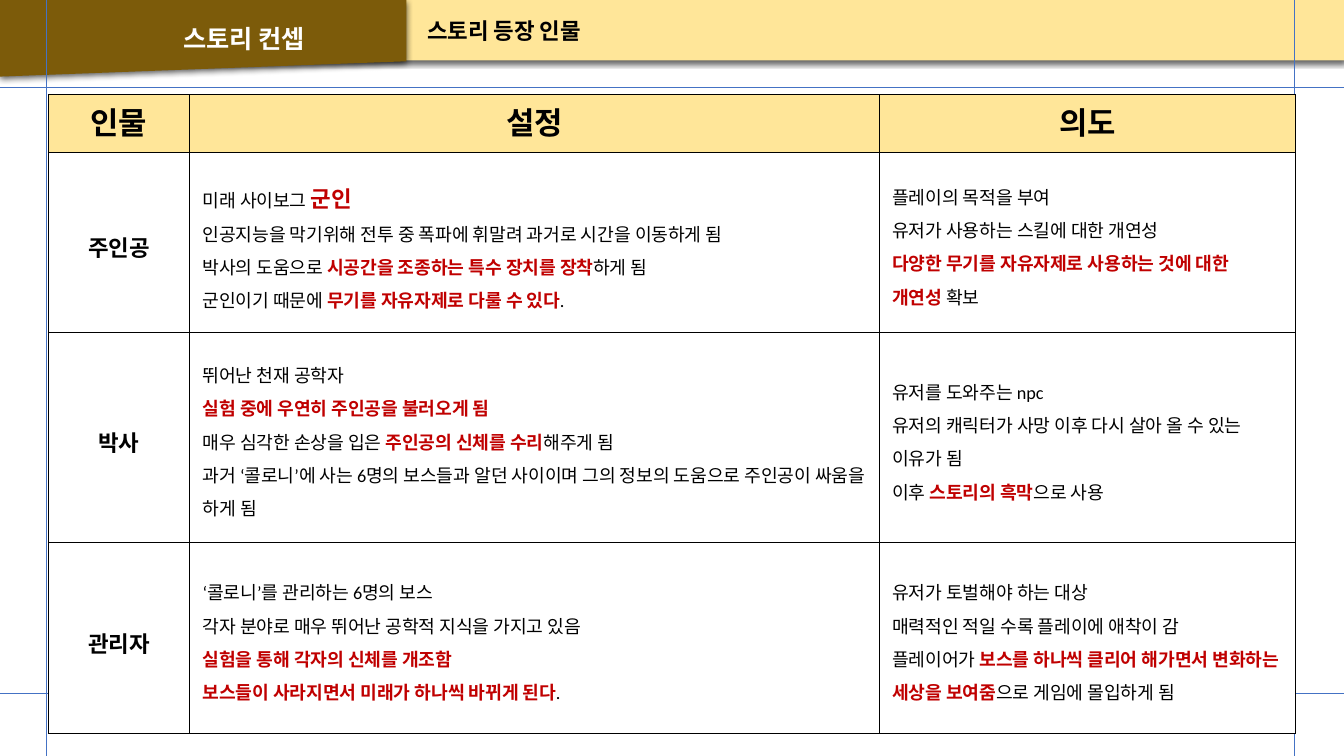
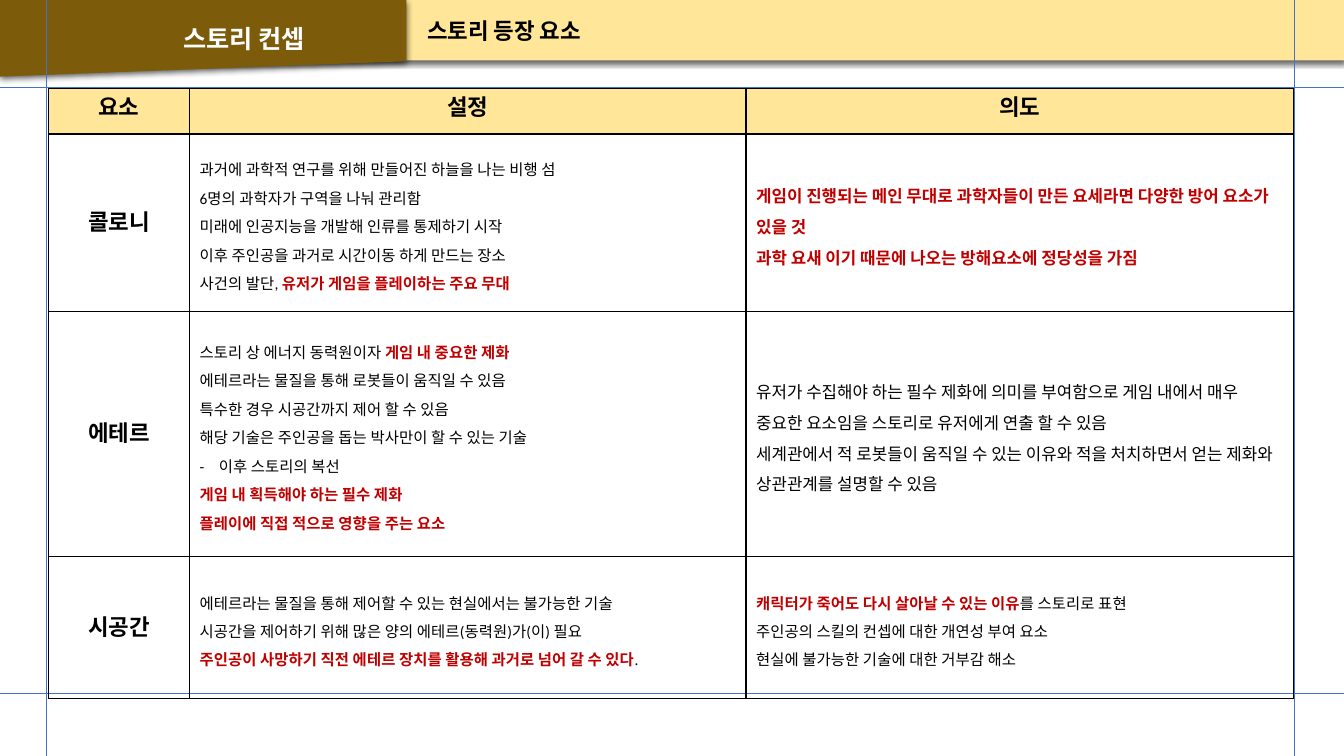
from dataclasses import dataclass

from lxml.etree import SubElement
from pptx import Presentation
from pptx.dml.color import RGBColor
from pptx.enum.lang import MSO_LANGUAGE_ID
from pptx.enum.shapes import MSO_CONNECTOR, MSO_SHAPE
from pptx.enum.text import MSO_ANCHOR, PP_ALIGN
from pptx.oxml import parse_xml
from pptx.oxml.ns import nsdecls, qn
from pptx.util import Inches, Pt

FONT = "Calibri"
CREAM, BROWN, BLUE = "FFE699", "7C5B0A", "4472C4"
BLACK, WHITE, RED = "000000", "FFFFFF", "C00000"
WIDTH, HEIGHT = 13.33, 7.5
TITLE = "스토리 컨셉"


@dataclass
class Row:
    name: str
    setting: str
    intent: str
    size: float = 0  # intent text size, when it differs from the table's


@dataclass
class Grid:
    heading: str
    heads: tuple[str, str, str]
    rows: list[Row]
    top: float
    cols: tuple[float, ...]
    heights: tuple[float, ...]
    head_size: float
    size: float
    inset: float
    name_gap: float
    head_anchor: MSO_ANCHOR
    fill: str = ""


PEOPLE = Grid(
    "스토리 등장 인물",
    ("인물", "설정", "의도"),
    [
        Row("주인공",
            "미래 사이보그 *+군인*\n"
            "인공지능을 막기위해 전투 중 폭파에 휘말려 과거로 시간을 이동하게 됨\n"
            "박사의 도움으로 *시공간을 조종하는 특수 장치를 장착*하게 됨\n"
            "군인이기 때문에 *무기를 자유자제로 다룰 수 있다*.",
            "플레이의 목적을 부여\n"
            "유저가 사용하는 스킬에 대한 개연성\n"
            "*다양한 무기를 자유자제로 사용하는 것에 대한 개연성* 확보"),
        Row("박사",
            "뛰어난 천재 공학자\n"
            "*실험 중에 우연히 주인공을 불러오게 됨*\n"
            "매우 심각한 손상을 입은 *주인공의 신체를 수리*해주게 됨\n"
            "과거 ‘콜로니’에 사는 6명의 보스들과 알던 사이이며 "
            "그의 정보의 도움으로 주인공이 싸움을 하게 됨",
            "유저를 도와주는 npc\n"
            "유저의 캐릭터가 사망 이후 다시 살아 올 수 있는 이유가 됨\n"
            "이후 *스토리의 흑막*으로 사용"),
        Row("관리자",
            "‘콜로니’를 관리하는 6명의 보스\n"
            "각자 분야로 매우 뛰어난 공학적 지식을 가지고 있음\n"
            "*실험을 통해 각자의 신체를 개조함*\n"
            "*보스들이 사라지면서 미래가 하나씩 바뀌게 된다*.",
            "유저가 토벌해야 하는 대상\n"
            "매력적인 적일 수록 플레이에 애착이 감\n"
            "플레이어가 *보스를 하나씩 클리어 해가면서 변화하는 세상을 보여줌*"
            "으로 게임에 몰입하게 됨"),
    ],
    top=0.94, cols=(1.4, 6.84, 4.13), heights=(0.57, 1.79, 2.08, 1.9),
    head_size=22, size=13, inset=0.13, name_gap=1.5,
    head_anchor=MSO_ANCHOR.MIDDLE, fill=WHITE,
)

THINGS = Grid(
    "스토리 등장 요소",
    ("요소", "설정", "의도"),
    [
        Row("콜로니",
            "과거에 과학적 연구를 위해 만들어진 하늘을 나는 비행 섬\n"
            "6명의 과학자가 구역을 나눠 관리함\n"
            "미래에 인공지능을 개발해 인류를 통제하기 시작\n"
            "이후 주인공을 과거로 시간이동 하게 만드는 장소\n"
            "사건의 발단, *유저가 게임을 플레이하는 주요 무대*",
            "*게임이 진행되는 메인 무대로 과학자들이 만든 요세라면 "
            "다양한 방어 요소가 있을 것*\n"
            "*과학 요새 이기 때문에 나오는 방해요소에 정당성을 가짐*",
            size=12),
        Row("에테르",
            "스토리 상 에너지 동력원이자 *게임 내 중요한 제화*\n"
            "에테르라는 물질을 통해 로봇들이 움직일 수 있음\n"
            "특수한 경우 시공간까지 제어 할 수 있음\n"
            "해당 기술은 주인공을 돕는 박사만이 할 수 있는 기술\n"
            "- 이후 스토리의 복선\n"
            "*게임 내 획득해야 하는 필수 제화*\n"
            "*플레이에 직접 적으로 영향을 주는 요소*",
            "유저가 수집해야 하는 필수 제화에 의미를 부여함으로 게임 내에서 매우 "
            "중요한 요소임을 스토리로 유저에게 연출 할 수 있음\n"
            "세계관에서 적 로봇들이 움직일 수 있는 이유와 적을 처치하면서 얻는 "
            "제화와 상관관계를 설명할 수 있음",
            size=12),
        Row("시공간",
            "에테르라는 물질을 통해 제어할 수 있는 현실에서는 불가능한 기술\n"
            "시공간을 제어하기 위해 많은 양의 에테르(동력원)가(이) 필요\n"
            "*주인공이 사망하기 직전 에테르 장치를 활용해 과거로 넘어 갈 수 있다*.",
            "*캐릭터가 죽어도 다시 살아날 수 있는 이유*를 스토리로 표현\n"
            "주인공의 스킬의 컨셉에 대한 개연성 부여 요소\n"
            "현실에 불가능한 기술에 대한 거부감 해소"),
    ],
    top=0.88, cols=(1.4, 5.52, 5.43), heights=(0.45, 1.76, 2.43, 1.41),
    head_size=16, size=11, inset=0.1, name_gap=1,
    head_anchor=MSO_ANCHOR.TOP,
)


def paint(fill, color: str) -> None:
    fill.solid()
    fill.fore_color.rgb = RGBColor.from_string(color)


def dash(para) -> None:
    props = para._p.get_or_add_pPr()
    props.set("marL", str(Inches(0.19)))
    props.set("indent", str(-Inches(0.19)))
    SubElement(props, qn("a:buFont")).set("typeface", FONT)
    SubElement(props, qn("a:buChar")).set("char", "-")


def write(frame, text: str, *, size: float, color: str = BLACK,
          bold: bool = False, align=PP_ALIGN.LEFT, gap: float = 1) -> None:
    """Set one paragraph a line; *red bold*, *+larger red*, "- " for a dash."""
    frame.word_wrap = True
    for i, line in enumerate(text.split("\n")):
        para = frame.add_paragraph() if i else frame.paragraphs[0]
        para.alignment = align
        para.line_spacing = gap
        para.space_before = Pt(0)
        if line.startswith("- "):
            dash(para)
            line = line.removeprefix("- ")
        for j, part in enumerate(line.split("*")):
            if not part:
                continue
            mark = j % 2 == 1
            run = para.add_run()
            run.text = part.removeprefix("+") if mark else part
            font = run.font
            font.name = FONT
            font.size = Pt(16 if mark and part.startswith("+") else size)
            font.bold = bold or mark
            font.color.rgb = RGBColor.from_string(RED if mark else color)
            font.language_id = MSO_LANGUAGE_ID.KOREAN
            for script in ("a:ea", "a:cs"):
                SubElement(font._element, qn(script)).set("typeface", FONT)


def band(slide, kind, width: float, height: float, color: str, turn: int = 0):
    shape = slide.shapes.add_shape(kind, 0, 0, Inches(width), Inches(height))
    shape.rotation = turn
    paint(shape.fill, color)
    shape.line.fill.background()
    shape._element.spPr.append(parse_xml(
        f'<a:effectLst {nsdecls("a")}><a:outerShdw blurRad="{Pt(4.5)}" '
        f'dist="{Pt(1.5)}" dir="5400000" algn="t" rotWithShape="0">'
        f'<a:srgbClr val="{BLACK}"><a:alpha val="63000"/></a:srgbClr>'
        '</a:outerShdw></a:effectLst>'))
    return shape


def guide(slide, x1: float, y1: float, x2: float, y2: float):
    line = slide.shapes.add_connector(
        MSO_CONNECTOR.STRAIGHT, Inches(x1), Inches(y1), Inches(x2), Inches(y2))
    line.line.color.rgb = RGBColor.from_string(BLUE)
    line.line.width = Pt(0.5)
    SubElement(line._element.spPr, qn("a:effectLst"))
    return line


def dress(layout, slide) -> None:
    """Draw the shared bands and guides, then move them to the layout."""
    for spare in list(layout.placeholders)[1:]:
        spare._element.getparent().remove(spare._element)
    parts = [
        band(slide, MSO_SHAPE.RECTANGLE, WIDTH, 0.6, CREAM),
        band(slide, MSO_SHAPE.FLOWCHART_MANUAL_INPUT, 4.03, 0.76, BROWN, 180),
    ]
    parts += [guide(slide, x, 0, x, HEIGHT) for x in (0.46, 12.84)]
    parts += [guide(slide, 0, y, WIDTH, y) for y in (0.87, 6.88)]
    for part in parts:
        layout.shapes._spTree.append(part._element)


def label(slide, heading: str) -> None:
    title = slide.shapes.title
    title.left, title.top = Inches(0.92), Inches(0.05)
    title.width, title.height = Inches(3), Inches(0.52)
    box = slide.shapes.add_textbox(
        Inches(4.14), Inches(0.12), Inches(8.28), Inches(0.36))
    for shape in (title, box):
        shape.text_frame.vertical_anchor = MSO_ANCHOR.MIDDLE
    write(title.text_frame, TITLE, size=18, color=WHITE, bold=True,
          align=PP_ALIGN.CENTER, gap=1.5)
    write(box.text_frame, heading, size=16, bold=True)


def edge(cell) -> None:
    props = cell._tc.get_or_add_tcPr()
    for side in ("lnL", "lnR", "lnT", "lnB"):
        props.append(parse_xml(
            f'<a:{side} {nsdecls("a")} w="{Pt(1)}"><a:solidFill>'
            f'<a:srgbClr val="{BLACK}"/></a:solidFill></a:{side}>'))


def style(cell, grid: Grid, anchor, fill: str) -> None:
    edge(cell)
    if fill:
        paint(cell.fill, fill)
    else:
        cell.fill.background()
    cell.vertical_anchor = anchor
    cell.margin_left = cell.margin_right = Inches(grid.inset)
    cell.margin_top = cell.margin_bottom = Inches(round(grid.inset / 2, 2))


def chart(slide, grid: Grid) -> None:
    """Lay out the table of names, settings and intents."""
    table = slide.shapes.add_table(
        len(grid.heights), len(grid.cols), Inches(0.48), Inches(grid.top),
        Inches(sum(grid.cols)), Inches(sum(grid.heights))).table
    table.first_row = table.horz_banding = False
    for col, width in zip(table.columns, grid.cols):
        col.width = Inches(width)
    for row, height in zip(table.rows, grid.heights):
        row.height = Inches(height)

    for c, head in enumerate(grid.heads):
        cell = table.cell(0, c)
        style(cell, grid, grid.head_anchor, CREAM)
        write(cell.text_frame, head, size=grid.head_size, bold=True,
              align=PP_ALIGN.CENTER)
    for r, row in enumerate(grid.rows, 1):
        cells = [table.cell(r, c) for c in range(3)]
        for cell in cells:
            style(cell, grid, MSO_ANCHOR.MIDDLE, grid.fill)
        name, setting, intent = (cell.text_frame for cell in cells)
        write(name, row.name, size=16, bold=True, align=PP_ALIGN.CENTER,
              gap=grid.name_gap)
        write(setting, row.setting, size=grid.size, gap=1.5)
        write(intent, row.intent, size=row.size or grid.size, gap=1.5)


def main() -> None:
    deck = Presentation()
    deck.slide_width, deck.slide_height = Inches(WIDTH), Inches(HEIGHT)
    layout = deck.slide_layouts[5]
    for i, grid in enumerate((PEOPLE, THINGS)):
        slide = deck.slides.add_slide(layout)
        if i == 0:
            dress(layout, slide)
        label(slide, grid.heading)
        chart(slide, grid)
    deck.save("out.pptx")


if __name__ == "__main__":
    main()
